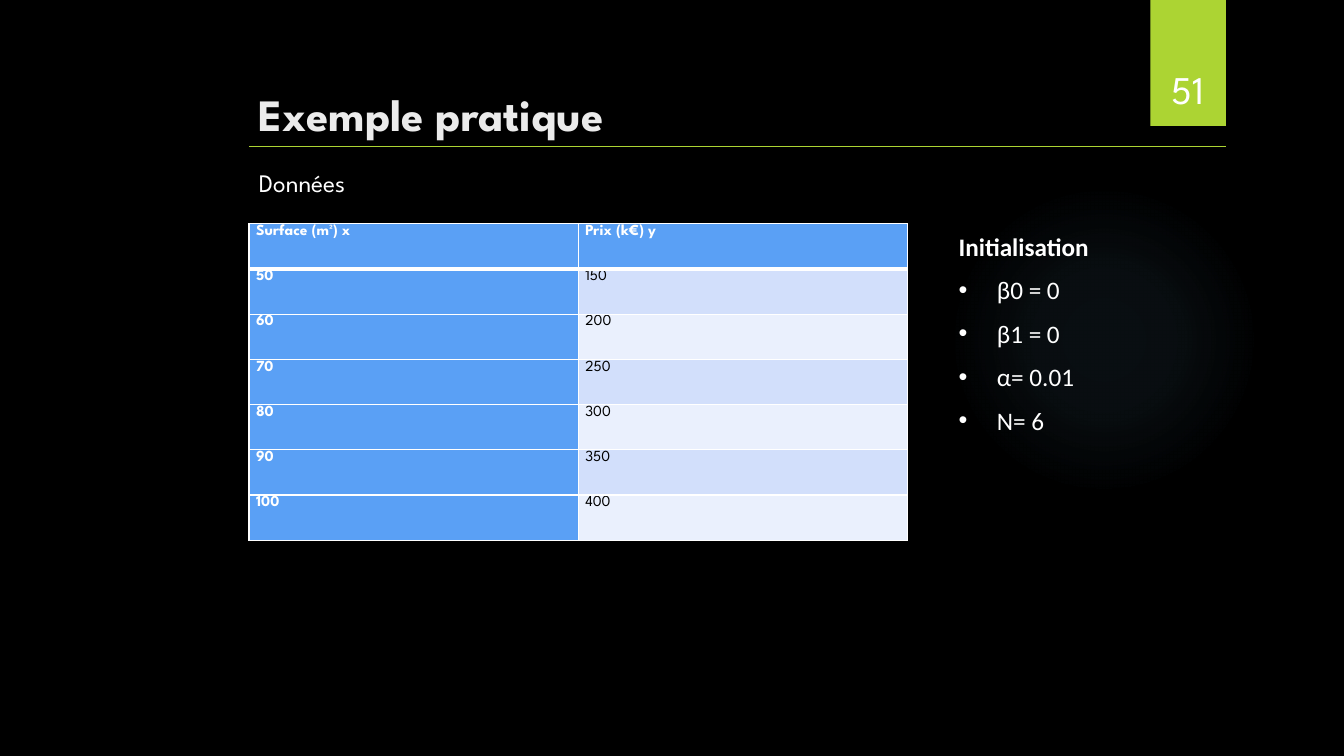
from lxml import etree
from pptx import Presentation
from pptx import util as u
from pptx.dml.color import RGBColor
from pptx.enum import shapes, text
from pptx.oxml import ns

COLOURS = {
    "black": "000000",
    "white": "FFFFFF",
    "title": "EBEBEB",
    "green": "ACD433",
    "glow": "7AC4F0",
    "blue": "5AA0F5",
    "band_dark": "D2DFFB",
    "band_light": "EAF0FD",
}
SPARTAN = "League Spartan"
SPACED = {"line_spacing": 1.07, "space_after": u.Pt(8)}
HEADERS = ["Surface (m²) x", "Prix (k€) y"]
HOUSES = [(50, 150), (60, 200), (70, 250), (80, 300), (90, 350), (100, 400)]
SETTINGS = ["β0 = 0", "β1 = 0", "α= 0.01", "N= 6"]


def colour(name):
    return RGBColor.from_string(COLOURS[name])


def apply_format(target, values):
    for name, value in values.items():
        setattr(target, name, value)


def add_xml(parent, tag, **values):
    return etree.SubElement(parent, ns.qn(tag), values)


def paint(target, name):
    target.fill.solid()
    target.fill.fore_color.rgb = colour(name)


def write(para, words, size, ink, font=SPARTAN, bold=False, layout=None):
    apply_format(para, layout or {})
    span = para.add_run()
    span.text = words
    apply_format(span.font, {"size": u.Pt(size), "name": font, "bold": bold})
    span.font.color.rgb = colour(ink)


def add_box(page, left, top, width, height, **frame_format):
    box = page.shapes.add_textbox(*map(u.Inches, (left, top, width, height)))
    apply_format(box.text_frame, {"word_wrap": True, **frame_format})
    return box.text_frame


def add_plain_shape(page, kind, left, top, width, height):
    shape = page.shapes.add_shape(kind, *map(u.Inches, (left, top, width, height)))
    shape.shadow.inherit = False
    shape.line.fill.background()
    return shape


def add_glow(page):
    glow = add_plain_shape(page, shapes.MSO_SHAPE.OVAL, 9.41, 1.83, 3.08, 3.08)
    properties = glow.fill._xPr
    gradient = etree.Element(ns.qn("a:gradFill"), rotWithShape="1")
    stops = add_xml(gradient, "a:gsLst")
    for position, opacity in ((0, 7), (36, 6), (69, 0), (100, 0)):
        stop = add_xml(stops, "a:gs", pos=str(position * 1000))
        tint = add_xml(stop, "a:srgbClr", val=COLOURS["glow"])
        add_xml(tint, "a:alpha", val=str(opacity * 1000))
    radial = add_xml(gradient, "a:path", path="circle")
    add_xml(radial, "a:fillToRect", l="50000", t="50000", r="50000", b="50000")
    properties.find(ns.qn("a:prstGeom")).addnext(gradient)


def add_rule(page):
    rule = page.shapes.add_connector(
        shapes.MSO_CONNECTOR.STRAIGHT, *map(u.Inches, (2.47, 1.45, 12.16, 1.45))
    )
    rule.line.color.rgb = colour("green")
    rule.line.width = u.Pt(0.75)
    add_xml(rule._element.spPr, "a:effectLst")


def add_borders(cell, top, bottom):
    properties = cell._tc.get_or_add_tcPr()
    sides = {"a:lnL": 1, "a:lnR": 1, "a:lnT": top, "a:lnB": bottom}
    for index, (side, width) in enumerate(sides.items()):
        border = etree.Element(ns.qn(side), w=str(u.Pt(width)))
        add_xml(add_xml(border, "a:solidFill"), "a:srgbClr", val=COLOURS["white"])
        properties.insert(index, border)


def add_data_table(page):
    rows = [HEADERS, *HOUSES]
    frame = page.shapes.add_table(
        len(rows), len(HEADERS), *map(u.Inches, (2.47, 2.22, 6.53, 3.14))
    )
    margins = {
        "margin_left": u.Inches(0.07),
        "margin_right": u.Inches(0.07),
        "margin_top": 0,
        "margin_bottom": 0,
    }
    for r, values in enumerate(rows):
        for c, value in enumerate(values):
            cell = frame.table.cell(r, c)
            apply_format(cell, margins)
            strong = r == 0 or c == 0
            band = "band_dark" if r % 2 else "band_light"
            paint(cell, "blue" if strong else band)
            add_borders(cell, top=3 if r == 1 else 1, bottom=3 if r == 0 else 1)
            ink = "white" if strong else "black"
            para = cell.text_frame.paragraphs[0]
            write(para, str(value), 11, ink, bold=strong, layout=SPACED)


def add_bullet(para):
    properties = para._p.get_or_add_pPr()
    indent = u.Inches(0.38)
    properties.set("marL", str(indent))
    properties.set("indent", str(-indent))
    add_xml(properties, "a:buFont", typeface="Arial")
    add_xml(properties, "a:buChar", char="•")
    tabs = add_xml(properties, "a:tabLst")
    add_xml(tabs, "a:tab", pos=str(u.Inches(0.5)), algn="l")


def add_settings(page):
    frame = add_box(page, 9.41, 2.22, 2.56, 2.16)
    write(frame.paragraphs[0], "Initialisation", 18, "white", "Calibri", True, SPACED)
    for setting in SETTINGS:
        para = frame.add_paragraph()
        add_bullet(para)
        write(para, setting, 18, "white", "Calibri", layout=SPACED)


def main():
    deck = Presentation()
    apply_format(
        deck, {"slide_width": u.Inches(13.33), "slide_height": u.Inches(7.5)}
    )
    page = deck.slides.add_slide(deck.slide_layouts[6])
    paint(page.background, "black")

    add_glow(page)
    tab = add_plain_shape(page, shapes.MSO_SHAPE.RECTANGLE, 11.41, 0, 0.75, 1.25)
    paint(tab, "green")
    title = add_box(page, 2.47, 0.69, 9.69, 1.53, margin_top=u.Inches(0.17))
    write(title.paragraphs[0], "Exemple pratique", 32, "title", bold=True)
    add_rule(page)
    add_data_table(page)

    middle = text.MSO_ANCHOR.MIDDLE
    label = add_box(page, 2.47, 1.61, 1.61, 0.4, vertical_anchor=middle)
    write(label.paragraphs[0], "Données", 18, "white")
    add_settings(page)

    bottom = text.MSO_ANCHOR.BOTTOM
    number = add_box(page, 11.32, 0.32, 0.92, 0.84, vertical_anchor=bottom)
    centred = {"alignment": text.PP_ALIGN.CENTER}
    write(number.paragraphs[0], "51", 28, "white", layout=centred)
    deck.save("out.pptx")


if __name__ == "__main__":
    main()
